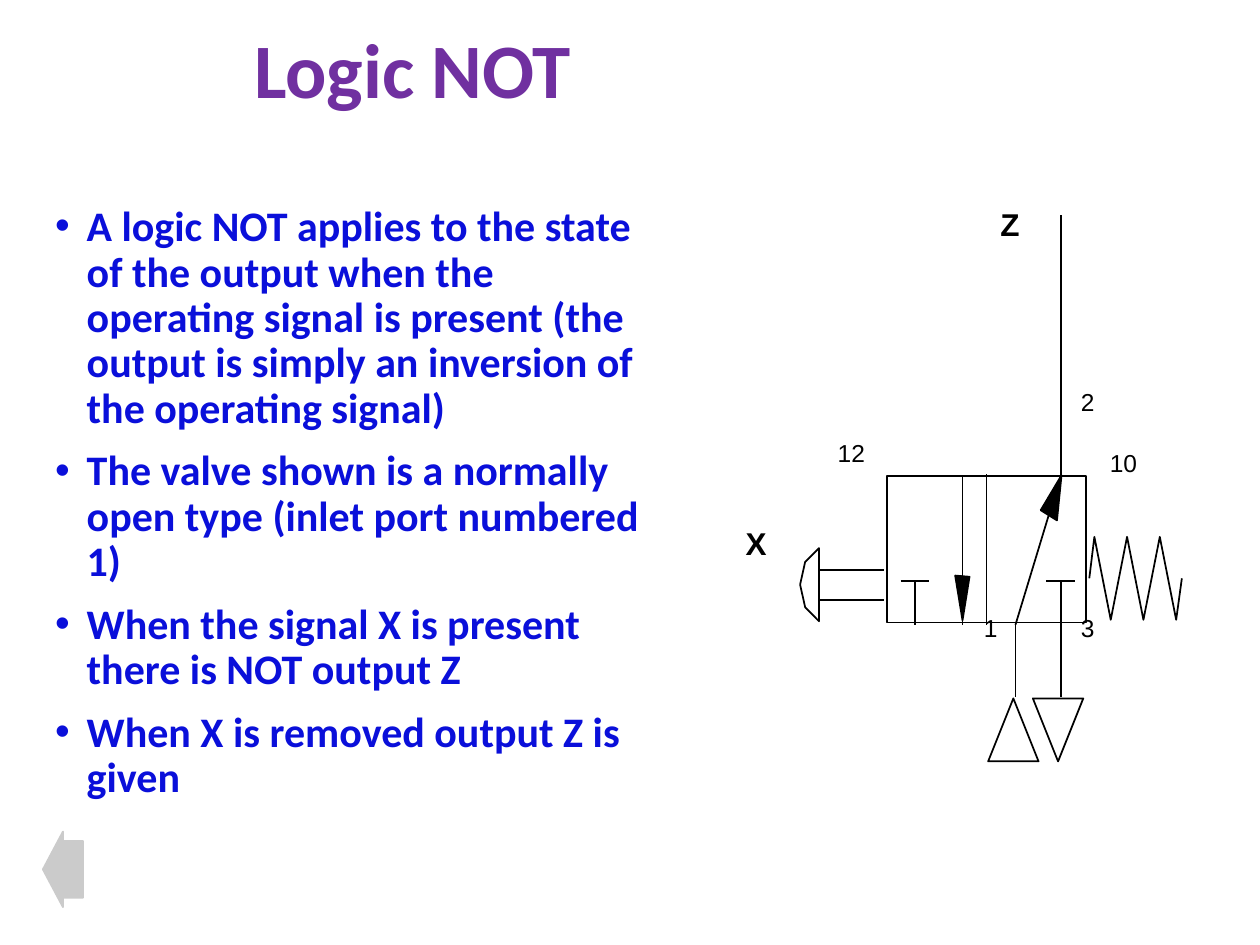
"""Builds the Logic NOT slide with its pneumatic valve diagram."""
from lxml import etree
from pptx import Presentation
from pptx import util as u
from pptx.dml.color import RGBColor
from pptx.enum import shapes, text
from pptx.oxml import ns

PURPLE, BLUE, BLACK, GREY = "7030A0", "0A0FDA", "000000", "CBCBCB"


def rgb(value):
    return RGBColor.from_string(value)


class Board:
    def __init__(self, slide):
        self.slide = slide
        self.target = slide.shapes
        self.line_width = u.Pt(1)

    def group(self):
        self.target = self.slide.shapes.add_group_shape().shapes

    def ungroup(self):
        self.target = self.slide.shapes

    def text(self, x, y, w, h, lines, size, color=BLACK, font="Arial", bold=False, wrap=False):
        sp = self.target.add_textbox(u.Pt(x), u.Pt(y), u.Pt(w), u.Pt(h))
        tf = sp.text_frame
        tf.word_wrap = wrap
        tf.text = "\n".join(lines)
        for p in tf.paragraphs:
            for r in p.runs:
                r.font.size, r.font.name, r.font.bold = u.Pt(size), font, bold
                r.font.color.rgb = rgb(color)
        return tf

    def bullets(self, x, y, w, h, lines, size, color):
        tf = self.text(x, y, w, h, lines, size, color, "Calibri", True, True)
        for i, p in enumerate(tf.paragraphs):
            pPr = p._p.get_or_add_pPr()
            pPr.set("marL", str(u.Pt(18)))
            pPr.set("indent", str(u.Pt(-18)))
            clr = etree.SubElement(pPr, ns.qn("a:buClr"))
            etree.SubElement(clr, ns.qn("a:srgbClr"), val=color)
            etree.SubElement(pPr, ns.qn("a:buFont"), typeface="Arial")
            etree.SubElement(pPr, ns.qn("a:buChar"), char="•")
            p.line_spacing = 0.9
            p.space_before = u.Pt(10 if i else 0)

    def line(self, x1, y1, x2, y2):
        sp = self.target.add_connector(
            shapes.MSO_CONNECTOR.STRAIGHT, u.Pt(x1), u.Pt(y1), u.Pt(x2), u.Pt(y2))
        sp.line.color.rgb = rgb(BLACK)
        sp.line.width = self.line_width
        etree.SubElement(sp._element.spPr, ns.qn("a:effectLst"))

    def paint(self, sp, fill, line):
        sp.shadow.inherit = False
        if fill:
            sp.fill.solid()
            sp.fill.fore_color.rgb = rgb(fill)
        else:
            sp.fill.background()
        sp.line.color.rgb = rgb(line)
        sp.line.width = self.line_width

    def shape(self, kind, x, y, w, h, fill=None, line=BLACK):
        sp = self.target.add_shape(kind, u.Pt(x), u.Pt(y), u.Pt(w), u.Pt(h))
        self.paint(sp, fill, line)
        return sp

    def outline(self, points, fill=None, close=False):
        pts = [(u.Pt(x), u.Pt(y)) for x, y in points]
        fb = self.target.build_freeform(*pts[0])
        fb.add_line_segments(pts[1:], close=close)
        self.paint(fb.convert_to_shape(), fill, BLACK)


def draw_valve(b):
    top, bottom, foot = 271.6, 357, 398.2
    supply_x, output_x, closed_x, flow_x = 580.3, 606.2, 522.9, 550

    b.shape(shapes.MSO_SHAPE.RECTANGLE, 506.9, 272.1, 113.8, 83.6)
    b.line(563.8, 270.9, 563.8, bottom)
    b.line(output_x, 123.1, output_x, top)
    for x in (supply_x, output_x):
        b.line(x, 355.7, x, foot)
    for x in (closed_x, output_x):
        b.line(x, 332, x, bottom)
        b.line(x - 8.2, 332, x + 8.2, 332)

    b.line(flow_x, top, flow_x, bottom)
    b.outline([(flow_x, 354.5), (545.8, 328.9), (554, 329.6)], BLACK, True)
    b.line(output_x, top, supply_x, bottom)
    b.outline([(606.6, 271.6), (604, 297.4), (594.7, 291.6)], BLACK, True)

    b.shape(shapes.MSO_SHAPE.ISOSCELES_TRIANGLE, 564.7, 399.1, 28.8, 36)
    sp = b.shape(shapes.MSO_SHAPE.ISOSCELES_TRIANGLE, 590.2, 399.1, 28.8, 36)
    sp.rotation = 180

    coils = [(625.4 + 9.35 * i, 354.2 if i % 2 else 306.8) for i in range(6)]
    b.outline([(622.5, 330.5), *coils, (675.4, 330.5)])

    b.outline([(468, 313.2), (460.1, 321.1), (457.2, 334.1), (460.1, 347), (468, 355)],
              close=True)
    for y in (325.7, 342.7):
        b.line(468.7, y, 505, y)

    for label, x, y, w in [("2", 610.6, 217.4, 22.3), ("3", 610.6, 347, 22.3),
                           ("1", 555.1, 347, 22.3), ("12", 471.6, 247, 30.2),
                           ("10", 627.1, 252.7, 30.2)]:
        b.text(x, y, w, 24, [label], 14)
    for label, x, y in [("Z", 564.5, 113.8), ("X", 419, 295.9)]:
        b.text(x, y, 26.5, 29, [label], 18, bold=True)


def main():
    prs = Presentation()
    prs.slide_width, prs.slide_height = u.Pt(720), u.Pt(540)
    s = prs.slides.add_slide(prs.slide_layouts[6])
    b = Board(s)

    tf = b.text(138.2, 13, 537.8, 58.3, ["Logic NOT"], 44, PURPLE, "Calibri", True, True)
    tf.vertical_anchor = text.MSO_ANCHOR.MIDDLE
    tf.paragraphs[0].line_spacing = 0.9
    b.bullets(24.5, 113.8, 362.2, 354.2, [
        "A logic NOT applies to the state of the output when the operating signal is present "
        "(the output is simply an inversion of the operating signal)",
        "The valve shown is a normally open type (inlet port numbered 1)",
        "When the signal X is present there is NOT output Z",
        "When X is removed output Z is given",
    ], 24, BLUE)

    b.group()
    draw_valve(b)
    b.ungroup()

    sp = b.shape(shapes.MSO_SHAPE.LEFT_ARROW, 24.5, 475.2, 23, 43.2, GREY, GREY)
    sp.adjustments[0], sp.adjustments[1] = 0.75, 0.5
    prs.save("out.pptx")


if __name__ == "__main__":
    main()
